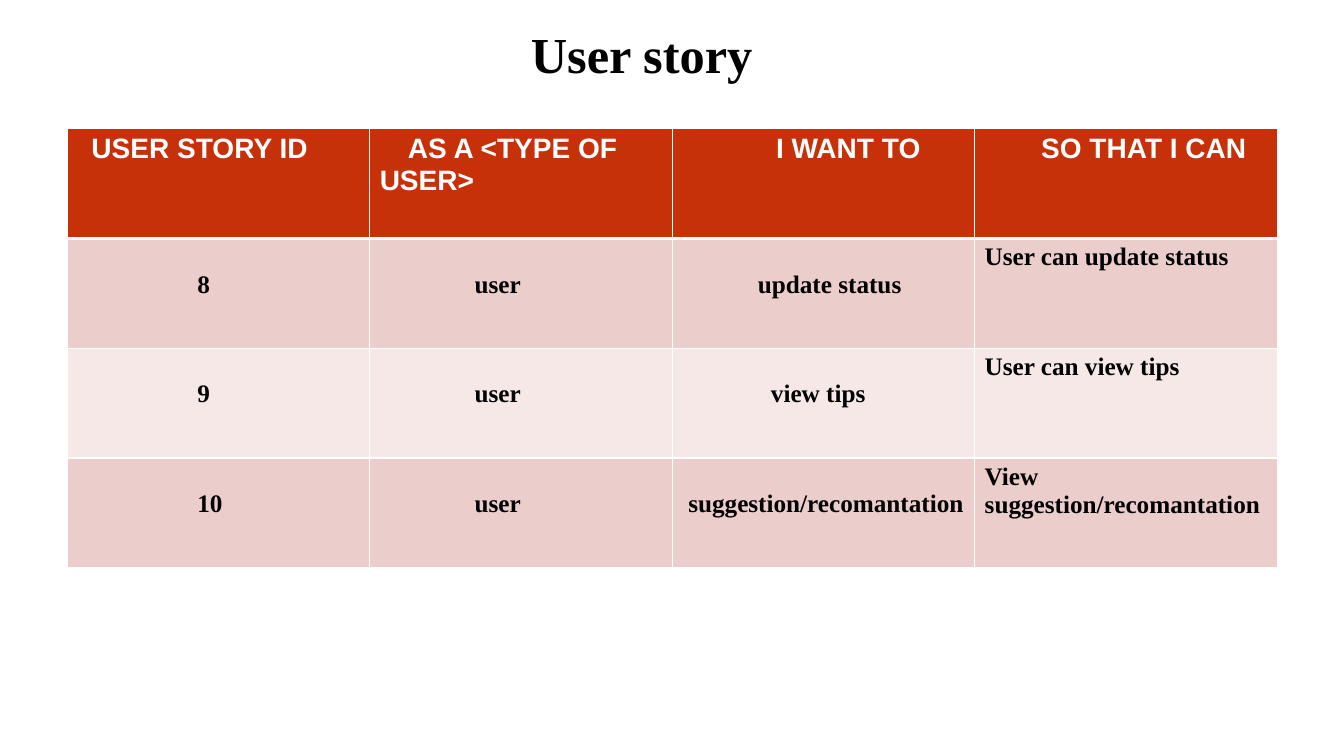
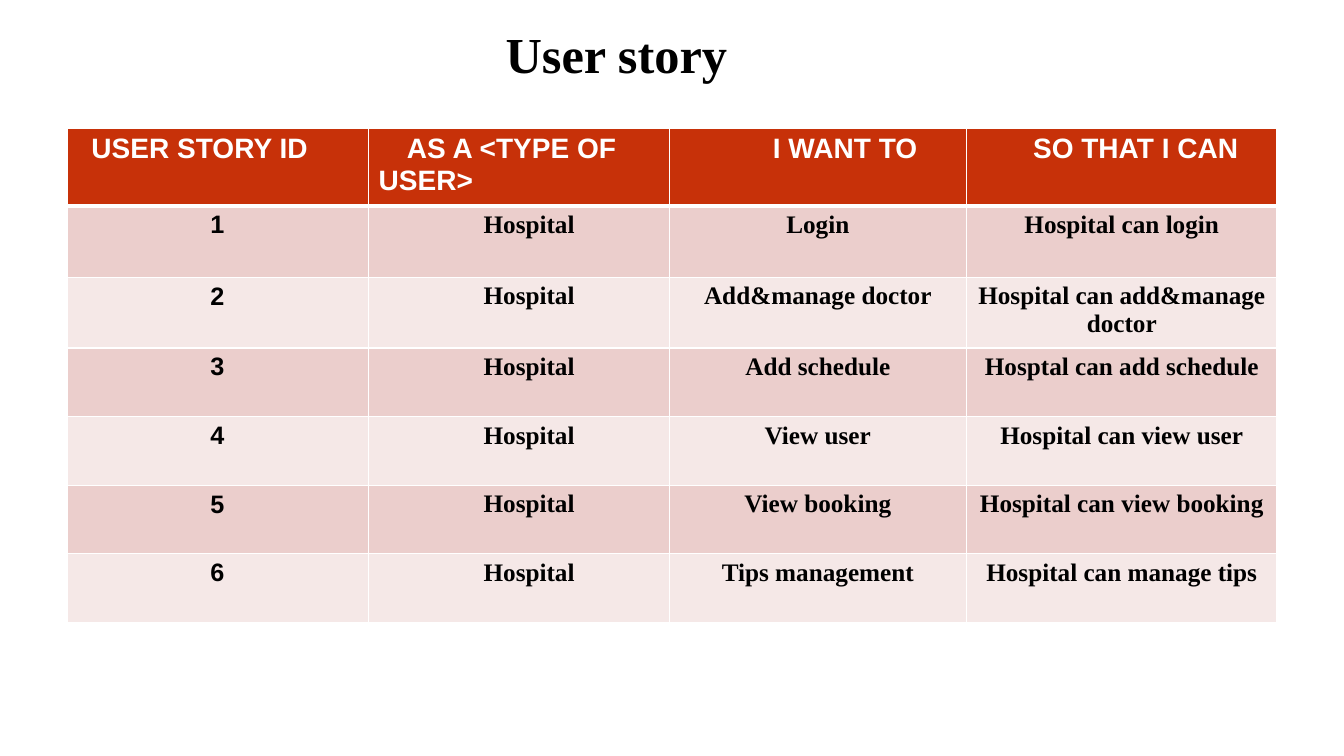
"""Builds two slides of user stories, each a title over a banded table."""
from pptx import Presentation
from pptx import util as u
from pptx.dml.color import RGBColor
from pptx.enum import text as t
from pptx.oxml import parse_xml
from pptx.oxml.ns import nsdecls

RED, ROSE, PALE = "C73109", "EBCECC", "F5E8E7"
WHITE, BLACK = "FFFFFF", "000000"
SANS, SERIF = "Arial", "Times New Roman"
LEFT, MID = t.PP_ALIGN.LEFT, t.PP_ALIGN.CENTER
HEADS = ["USER STORY ID", "AS A <TYPE OF USER>", "I WANT TO", "SO THAT I CAN"]
HEAD_IN = [0.14, 0.28, 0.93, 0.56]


def color(code):
    return RGBColor.from_string(code)


def write(frame, words, size=18, font=SERIF, ink=BLACK, align=LEFT, indent=0):
    frame.word_wrap = True
    para = frame.paragraphs[0]
    para.alignment = align
    props = para._p.get_or_add_pPr()
    props.set("marL", "0")
    props.set("indent", str(u.Inches(indent)))
    run = para.add_run()
    run.text = words
    run.font.size = u.Pt(size)
    run.font.name = font
    run.font.bold = True
    run.font.color.rgb = color(ink)


deck = Presentation()
deck.slide_width, deck.slide_height = u.Inches(13.33), u.Inches(7.5)
wide, high = deck.slide_width, deck.slide_height
left, span = int(wide * 0.05), int(wide * 0.9)

pages = [
    dict(
        shift=4.5, cols=[3, 3, 3, 3], rows=[1.09] * 4,
        pads=[0.32, 0.32, 0.32, 0.05],
        fonts=[SERIF] * 4, aligns=[LEFT] * 4,
        body=[
            [("8", 1.19), ("user", 0.94), ("update status", 0.75),
             ("User can update status", 0)],
            [("9", 1.19), ("user", 0.94), ("view tips", 0.88),
             ("User can view tips", 0)],
            [("10", 1.19), ("user", 0.94), ("suggestion/recomantation", 0.06),
             ("View suggestion/recomantation", 0)],
        ],
    ),
    dict(
        shift=4.25, cols=[2.99, 2.98, 2.95, 3.08],
        rows=[0.73, 0.71] + [0.68] * 5,
        pads=[0.05] * 4,
        fonts=[SANS, SERIF, SERIF, SERIF], aligns=[LEFT, LEFT, MID, MID],
        body=[
            [(str(num), 1.32), ("Hospital", 1.04), (want, 0), (gain, 0)]
            for num, (want, gain) in enumerate([
                ("Login", "Hospital can login"),
                ("Add&manage doctor", "Hospital can add&manage doctor"),
                ("Add schedule", "Hosptal can add schedule"),
                ("View user", "Hospital can view user"),
                ("View booking", "Hospital can view booking"),
                ("Tips management", "Hospital can manage tips"),
            ], 1)
        ],
    ),
]

for page in pages:
    slide = deck.slides.add_slide(deck.slide_layouts[6])
    title = slide.shapes.add_textbox(left, int(high * 0.03), span, int(high * 0.08))
    title.text_frame.vertical_anchor = t.MSO_ANCHOR.MIDDLE
    write(title.text_frame, "User story", size=36, indent=page["shift"])

    lines = [list(zip(HEADS, HEAD_IN))] + page["body"]
    grid = slide.shapes.add_table(
        len(lines), len(HEADS), left, int(high * 0.17), span,
        u.Inches(sum(page["rows"]))).table
    for col, width in zip(grid.columns, page["cols"]):
        col.width = u.Inches(width)
    for row, height in zip(grid.rows, page["rows"]):
        row.height = u.Inches(height)

    for r, line in enumerate(lines):
        for c, (words, indent) in enumerate(line):
            cell = grid.cell(r, c)
            for side in "LRTB":
                thick = 3 if (r, side) in [(0, "B"), (1, "T")] else 1
                cell._tc.get_or_add_tcPr().append(parse_xml(
                    f'<a:ln{side} {nsdecls("a")} w="{u.Pt(thick)}"><a:solidFill>'
                    f'<a:srgbClr val="{WHITE}"/></a:solidFill></a:ln{side}>'))
            cell.fill.solid()
            if r == 0:
                cell.fill.fore_color.rgb = color(RED)
                write(cell.text_frame, words, size=20, font=SANS, ink=WHITE,
                      indent=indent)
            else:
                cell.fill.fore_color.rgb = color(ROSE if r % 2 else PALE)
                cell.margin_top = u.Inches(page["pads"][c])
                write(cell.text_frame, words, font=page["fonts"][c],
                      align=page["aligns"][c], indent=indent)

deck.save("out.pptx")
